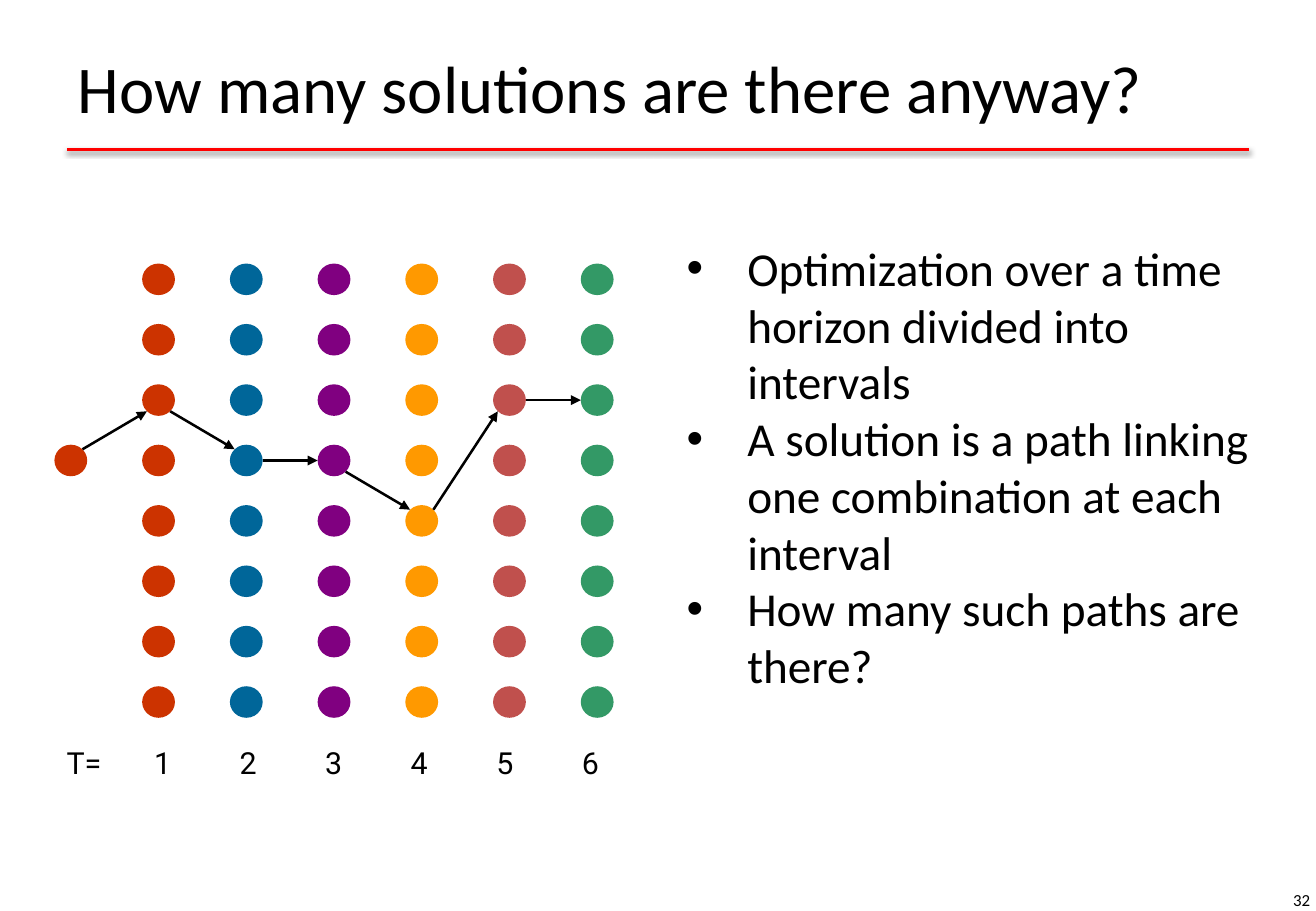
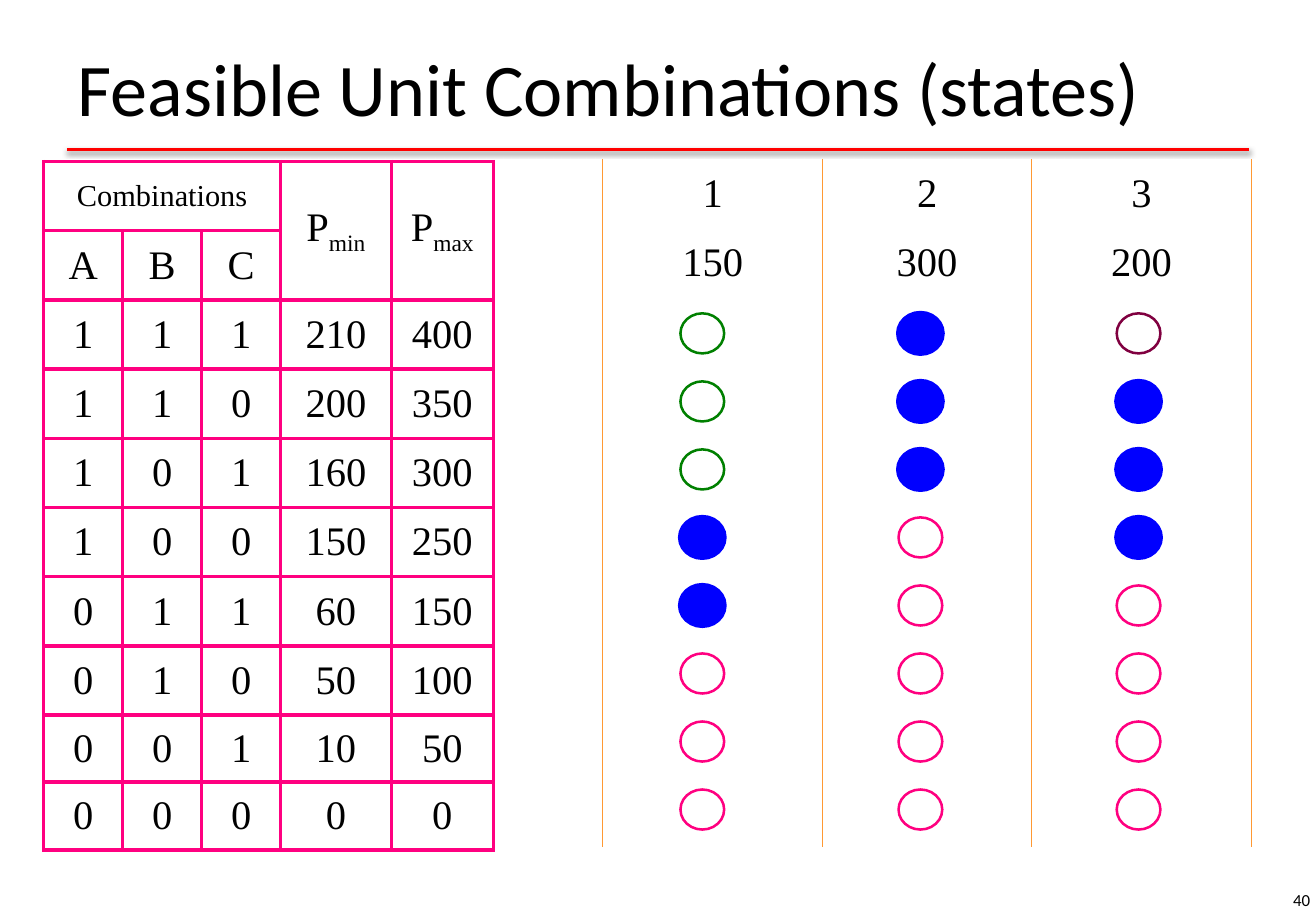
from dataclasses import dataclass
from itertools import pairwise

from lxml import etree
from pptx import Presentation
from pptx.dml.color import RGBColor
from pptx.enum.shapes import MSO_CONNECTOR, MSO_SHAPE
from pptx.enum.text import MSO_ANCHOR, MSO_AUTO_SIZE, PP_ALIGN
from pptx.oxml.ns import qn
from pptx.util import Inches, Pt

OVAL = MSO_SHAPE.OVAL
STRAIGHT = MSO_CONNECTOR.STRAIGHT
MIDDLE = MSO_ANCHOR.MIDDLE
NO_FIT = MSO_AUTO_SIZE.NONE
LEFT, CENTER, RIGHT = PP_ALIGN.LEFT, PP_ALIGN.CENTER, PP_ALIGN.RIGHT

TITLE_AND_LIST, TITLE_ONLY = 1, 5  # layouts of the default template
PLAIN_TABLE_STYLE = "{2D5ABB26-0587-4C30-8999-92F81FD0307C}"


@dataclass(frozen=True)
class Theme:
    sans: str = "Calibri"
    axis_font: str = "Roboto"
    serif: str = "Times New Roman"
    ink: str = "000000"
    rule: str = "FF0000"
    grid: str = "FF0080"
    divider: str = "FF9933"
    chosen: str = "0000FF"
    low: str = "008000"
    other: str = "800040"
    intervals: tuple = ("CC3300", "006699", "800080",
                        "FF9900", "C0504D", "339966")
    title_size: float = 44
    long_title_size: float = 39.6
    list_size: float = 28
    table_size: float = 24
    label_size: float = 18
    number_size: float = 10


THEME = Theme()

COMBINATIONS = [
    "1 1 1 210 400", "1 1 0 200 350", "1 0 1 160 300", "1 0 0 150 250",
    "0 1 1 60 150", "0 1 0 50 100", "0 0 1 10 50", "0 0 0 0 0",
]
ROW_HEIGHTS = [0.57] * 8 + [0.55, 0.56]
LOADS = ["150", "300", "200"]
# One string per hour, one letter per combination
STATES = ["LLLCCIII", "CCCIIIII", "OCCCIIII"]
STATE_COLORS = {"L": THEME.low, "C": THEME.chosen,
                "I": THEME.grid, "O": THEME.other}


# --- Element helpers ---

def inches(*lengths):
    return [Inches(length) for length in lengths]


def add_xml(parent, tag, **attributes):
    return etree.SubElement(parent, qn(tag), attributes)


def write(frame, *paragraphs, size, font=THEME.sans, color=THEME.ink,
          align=LEFT, bullet=None, indent=0.5):
    """Each paragraph is a string or a (base, subscript) pair."""
    for index, content in enumerate(paragraphs):
        paragraph = frame.paragraphs[0] if index == 0 else frame.add_paragraph()
        paragraph.alignment = align
        if bullet:
            paragraph.space_before = Pt(0)
            properties = paragraph._p.get_or_add_pPr()
            properties.set("marL", str(Inches(indent)))
            properties.set("indent", str(-Inches(indent)))
            add_xml(properties, "a:buFont", typeface="Arial")
            add_xml(properties, "a:buChar", char=bullet)
        parts = (content,) if isinstance(content, str) else content
        for position, part in enumerate(parts):
            run = paragraph.add_run()
            run.text = part
            run.font.name = font
            run.font.size = Pt(size)
            run.font.color.rgb = RGBColor.from_string(color)
            if position:
                run._r.get_or_add_rPr().set("baseline", "-25000")


def place(placeholder, *box):
    (placeholder.left, placeholder.top,
     placeholder.width, placeholder.height) = inches(*box)
    placeholder.text_frame.auto_size = NO_FIT
    return placeholder.text_frame


def add_label(slide, text, *box, wrap=False, **text_format):
    frame = slide.shapes.add_textbox(*inches(*box)).text_frame
    frame.word_wrap = wrap
    write(frame, text, **text_format)
    return frame


def add_line(slide, start, end, color, width):
    line = slide.shapes.add_connector(STRAIGHT, *inches(*start, *end))
    line.line.color.rgb = RGBColor.from_string(color)
    line.line.width = Pt(width)
    effects = add_xml(line._element.spPr, "a:effectLst")
    return line, effects


def add_arrow(slide, start, end):
    arrow, _ = add_line(slide, start, end, THEME.ink, 1.5)
    add_xml(arrow.line._get_or_add_ln(), "a:tailEnd", type="triangle")


def add_dot(slide, *box, fill=None, line=None, width=1.5):
    dot = slide.shapes.add_shape(OVAL, *inches(*box))
    dot.shadow.inherit = False
    if fill:
        dot.fill.solid()
        dot.fill.fore_color.rgb = RGBColor.from_string(fill)
    else:
        dot.fill.background()
    if line:
        dot.line.color.rgb = RGBColor.from_string(line)
        dot.line.width = Pt(width)
    else:
        dot.line.fill.background()


def set_borders(cell, sides, color, width):
    properties = cell._tc.get_or_add_tcPr()
    for side in sides:
        border = add_xml(properties, f"a:ln{side}", w=str(Pt(width)))
        fill = add_xml(border, "a:solidFill")
        add_xml(fill, "a:srgbClr", val=color)


def add_grid(slide, left, top, widths, heights, border_sides, color, width):
    """Add an unstyled table; border_sides maps a column index to its sides."""
    table = slide.shapes.add_table(
        len(heights), len(widths),
        *inches(left, top, sum(widths), sum(heights))).table
    table.first_row = table.horz_banding = False
    table._tbl.tblPr.find(qn("a:tableStyleId")).text = PLAIN_TABLE_STYLE
    for column, column_width in zip(table.columns, widths):
        column.width = Inches(column_width)
    for row, height in zip(table.rows, heights):
        row.height = Inches(height)
        for index, cell in enumerate(row.cells):
            set_borders(cell, border_sides(index), color, width)
            cell.fill.background()
            cell.vertical_anchor = MIDDLE
    return table


def fill_cell(table, row, column, content, size=THEME.table_size):
    write(table.cell(row, column).text_frame, content,
          size=size, font=THEME.serif, align=CENTER)


# --- Shared frame ---

def add_framed_slide(deck, layout, title, number, title_size):
    slide = deck.slides.add_slide(deck.slide_layouts[layout])

    _, effects = add_line(slide, (0.55, 1.23), (10.28, 1.23), THEME.rule, 2)
    shadow = add_xml(effects, "a:outerShdw", blurRad=str(Pt(3.1)),
                     dist=str(Pt(1.6)), dir="5400000", rotWithShape="0")
    shade = add_xml(shadow, "a:srgbClr", val=THEME.ink)
    add_xml(shade, "a:alpha", val="38000")

    heading = place(slide.shapes.title, 0.54, 0.13, 9.75, 1.17)
    heading.vertical_anchor = MIDDLE
    write(heading, title, size=title_size)

    footer = add_label(slide, number, 8.35, 7.21, 2.53, 0.4, wrap=True,
                       size=THEME.number_size, align=RIGHT)
    footer.vertical_anchor = MIDDLE
    return slide


# --- Slides ---

def build_paths_slide(deck):
    slide = add_framed_slide(
        deck, TITLE_AND_LIST, "How many solutions are there anyway?", "32",
        THEME.long_title_size)

    # Dots: one column per interval, one row per combination
    left, top, dot_width, dot_height = 1.17, 2.17, 0.27, 0.26
    column_step, row_step, row_count = 3.61 / 5, 3.48 / 7, 8

    def corner(column, row):
        return left + column * column_step, top + row * row_step

    def dot(column, row, color):
        add_dot(slide, *corner(column, row), dot_width, dot_height, fill=color)

    for column, color in enumerate(THEME.intervals):
        for row in range(row_count):
            dot(column, row, color)
        add_label(slide, str(column + 1), left + column * 0.704, 6.08,
                  0.34, 0.4, size=THEME.label_size, font=THEME.axis_font)
    add_label(slide, "T=", 0.45, 6.08, 0.5, 0.4,
              size=THEME.label_size, font=THEME.axis_font)

    # Path: arrows run between the facing edges of successive dots
    def edge(column, row, toward_x, toward_y):
        x, y = corner(column, row)
        reach = 0.71 if toward_y else 1
        return (x + dot_width / 2 * (1 + toward_x * reach),
                y + dot_height / 2 * (1 + toward_y * reach))

    path_rows = [3, 2, 3, 3, 4, 2, 2]
    dot(-1, path_rows[0], THEME.intervals[0])
    for column, (row, next_row) in enumerate(pairwise(path_rows), start=-1):
        slope = (next_row > row) - (next_row < row)
        add_arrow(slide, edge(column, row, 1, slope),
                  edge(column + 1, next_row, -1, -slope))

    # List
    write(place(slide.placeholders[1], 5.55, 1.92, 4.83, 4.42),
          "Optimization over a time horizon divided into intervals",
          "A solution is a path linking one combination at each interval",
          "How many such paths are there?",
          size=THEME.list_size, bullet="•")


def build_states_slide(deck):
    slide = add_framed_slide(
        deck, TITLE_ONLY, "Feasible Unit Combinations (states)", "40",
        THEME.title_size)

    # Combinations table
    units = add_grid(slide, 0.36, 1.33, [0.65, 0.65, 0.65, 0.91, 0.84],
                     ROW_HEIGHTS, lambda column: "LRTB", THEME.grid, 2.25)
    units.cell(0, 0).merge(units.cell(0, 2))
    fill_cell(units, 0, 0, "Combinations", THEME.label_size)
    for column, limit in enumerate(["min", "max"], start=3):
        units.cell(0, column).merge(units.cell(1, column))
        fill_cell(units, 0, column, ("P", limit))
    for row, line in enumerate(["A B C", *COMBINATIONS], start=1):
        for column, value in enumerate(line.split()):
            fill_cell(units, row, column, value)

    # Hours table
    hours = add_grid(slide, 4.42, 1.31, [0.54, 1.81, 1.72, 1.81],
                     ROW_HEIGHTS, lambda column: "LR" if column else "R",
                     THEME.divider, 1)
    for hour, load in enumerate(LOADS, start=1):
        fill_cell(hours, 0, hour, str(hour))
        fill_cell(hours, 1, hour, load)

    # State of each combination in each hour
    for hour, states in enumerate(STATES):
        for row, state in enumerate(states):
            color = STATE_COLORS[state]
            chosen = state == "C"
            add_dot(slide, 5.6 + hour * 1.795, 2.58 + row * 0.56, 0.36, 0.33,
                    fill=color if chosen else None, line=color,
                    width=3 if chosen else 1.5)


def main():
    deck = Presentation()
    deck.slide_width, deck.slide_height = inches(10.83, 7.5)
    build_paths_slide(deck)
    build_states_slide(deck)
    deck.save("out.pptx")


if __name__ == "__main__":
    main()
